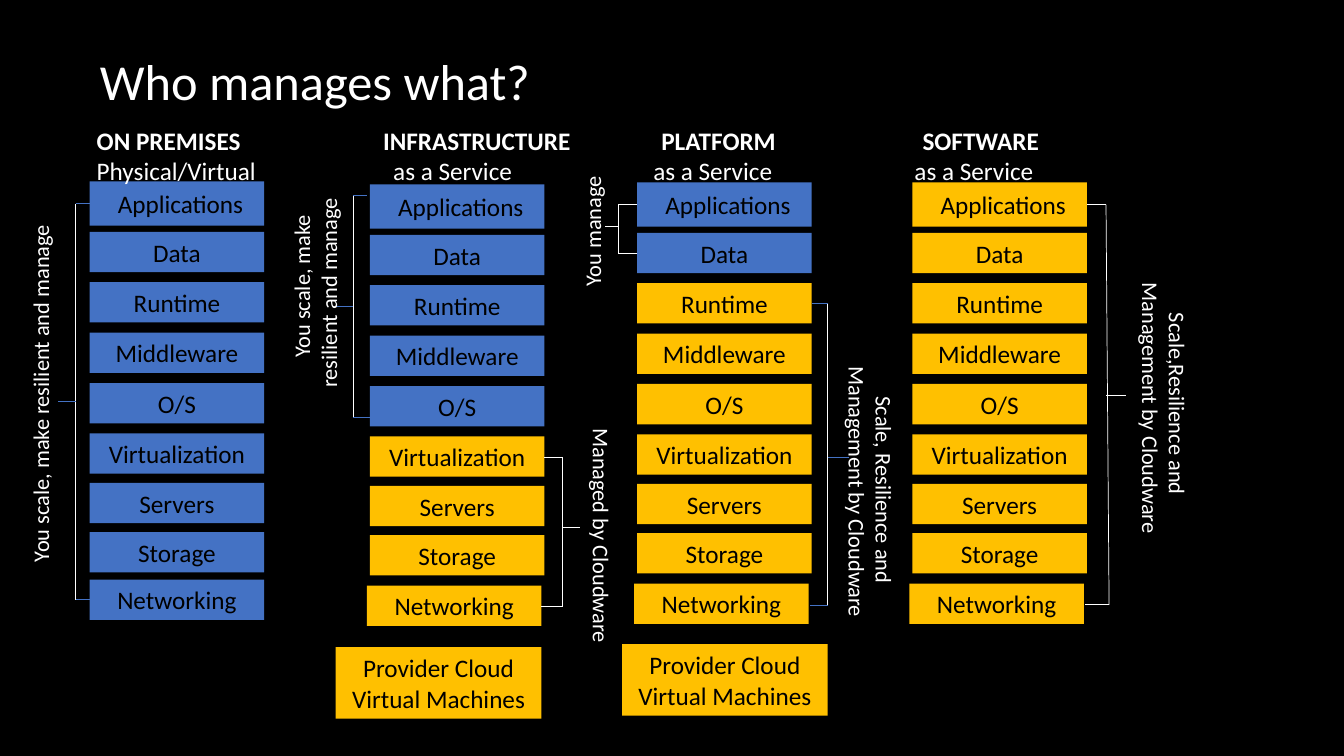
from pptx import Presentation
from pptx.dml.color import RGBColor
from pptx.enum.shapes import MSO_CONNECTOR, MSO_SHAPE
from pptx.enum.text import MSO_ANCHOR, MSO_AUTO_SIZE, PP_ALIGN
from pptx.oxml.ns import qn
from pptx.util import Inches, Pt

STRAIGHT = MSO_CONNECTOR.STRAIGHT
RECTANGLE = MSO_SHAPE.RECTANGLE
MIDDLE = MSO_ANCHOR.MIDDLE
CENTER, LEFT = PP_ALIGN.CENTER, PP_ALIGN.LEFT

FONT = "Calibri"
COLORS = {"black": "000000", "white": "FFFFFF", "customer": "4472C4", "provider": "FFC000"}

LAYERS = ["Applications", "Data", "Runtime", "Middleware", "O/S",
          "Virtualization", "Servers", "Storage", "Networking"]
ROW_OFFSETS = [0, 0.5, 1, 1.5, 2, 2.5, 2.99, 3.48, 3.98]
BOX_WIDTH, BOX_HEIGHT, TOP_BOX_HEIGHT = 1.73, 0.4, 0.44

# left, top, layers run by the customer, shift of the last box (across, down)
STACKS = [
    (0.89, 1.8, 9, (0, -0.03)),
    (3.67, 1.83, 5, (-0.03, 0)),
    (6.32, 1.81, 2, (-0.03, 0)),
    (9.05, 1.81, 0, (-0.03, 0)),
]

# left, heading, heading margin, second line, second line margin
HEADINGS = [
    (0.96, "ON PREMISES", 0, "Physical/Virtual", 0),
    (3.8, "INFRASTRUCTURE", 0, "as a Service", 0.1),
    (6.48, "PLATFORM", 0.08, "as a Service", 0),
    (9.07, "SOFTWARE", 0.08, "as a Service", 0),
]

# spine x (top, bottom), spine y (top, bottom), box edge x (top, bottom),
# tip (x, y), arm color, tip color
BRACKETS = [
    ((0.75, 0.75), (2.02, 5.95), (0.89, 0.89), (0.58, 3.98), "customer", "customer"),
    ((3.5, 3.5), (1.94, 4.14), (3.64, 3.67), (3.33, 3.04), "customer", "customer"),
    ((5.58, 5.58), (4.54, 6.02), (5.4, 5.37), (5.75, 5.23), "white", "white"),
    ((6.13, 6.13), (2.03, 2.51), (6.32, 6.32), (6, 2.25), "white", "white"),
    ((8.21, 8.21), (3.01, 6.01), (8.05, 8.03), (8.42, 4.54), "customer", "customer"),
    ((10.97, 11), (2.03, 6), (10.78, 10.76), (11.17, 3.92), "white", "white"),
]

# left, top, width, height, rotation, first-line indent, paragraphs
SIDE_LABELS = [
    (-1.39, 3.7, 3.58, 0.37, 270, 0, ["You scale, make resilient and manage"]),
    (2.05, 2.55, 2.15, 0.64, 270, 0.3, ["You scale, make", "resilient and manage"]),
    (4.62, 5.06, 2.69, 0.37, 90, 0.25, ["Managed by Cloudware"]),
    (5.06, 2.24, 1.63, 0.37, 270, 0.3, ["You manage"]),
    (7.29, 4.56, 2.69, 0.64, 90, 0.3, ["Scale, Resilience and Management by Cloudware"]),
    (10.2, 3.73, 2.69, 0.64, 90, 0.3, ["Scale,Resilience and Management by Cloudware"]),
]


def color(name):
    return RGBColor.from_string(COLORS[name])


def style(paragraph, size, color_name, alignment=LEFT, bold=False):
    paragraph.alignment = alignment
    font = paragraph.font
    font.name, font.size, font.bold = FONT, Pt(size), bold
    font.color.rgb = color(color_name)


def add_title(slide, text):
    title = slide.shapes.title
    title.left, title.top, title.width, title.height = map(Inches, (0.89, 0.44, 4.51, 0.71))
    frame = title.text_frame
    frame.text = text
    frame.word_wrap = False
    frame.auto_size = MSO_AUTO_SIZE.NONE
    frame.vertical_anchor = MIDDLE
    style(frame.paragraphs[0], 36, "white")


def add_box(slide, left, top, width, height, text, fill):
    box = slide.shapes.add_shape(RECTANGLE, *map(Inches, (left, top, width, height)))
    box.shadow.inherit = False
    box.fill.solid()
    box.fill.fore_color.rgb = color(fill)
    box.line.fill.background()
    frame = box.text_frame
    frame.text = text
    frame.word_wrap = True
    frame.vertical_anchor = MIDDLE
    style(frame.paragraphs[0], 18, "black", CENTER)
    return box


def add_stack(slide, left, top, customer_layers, last_shift):
    for row, (layer, offset) in enumerate(zip(LAYERS, ROW_OFFSETS)):
        across, down = last_shift if layer == LAYERS[-1] else (0, 0)
        height = BOX_HEIGHT if row else TOP_BOX_HEIGHT
        fill = "customer" if row < customer_layers else "provider"
        box = add_box(slide, left + across, top + offset + down, BOX_WIDTH, height, layer, fill)
        if row == 0:
            box.text_frame.margin_left = Inches(0.17)


def add_text(slide, left, top, width, height, lines):
    """Add a text box with one paragraph per line and return it."""
    text_box = slide.shapes.add_textbox(*map(Inches, (left, top, width, height)))
    text_box.text_frame.text = "\n".join(lines)
    return text_box


def add_heading(slide, left, heading, heading_margin, second_line, second_margin):
    text_box = add_text(slide, left, 1.19, 2, 0.71, [heading, second_line])
    frame = text_box.text_frame
    frame.word_wrap = True
    frame.margin_left = frame.margin_right = 0
    for paragraph, margin, bold in zip(frame.paragraphs, (heading_margin, second_margin), (True, False)):
        paragraph._p.get_or_add_pPr().set("marL", str(Inches(margin)))
        style(paragraph, 18, "white", bold=bold)


def add_side_label(slide, left, top, width, height, rotation, indent, lines):
    text_box = add_text(slide, left, top, width, height, lines)
    text_box.rotation = rotation
    frame = text_box.text_frame
    frame.word_wrap = True
    for paragraph in frame.paragraphs:
        style(paragraph, 16, "white")
    first = frame.paragraphs[0]._p.get_or_add_pPr()
    first.set("marL", "0")
    first.set("indent", str(Inches(indent)))


def add_line(slide, start, end, color_name):
    line = slide.shapes.add_connector(STRAIGHT, *map(Inches, (*start, *end)))
    line.line.color.rgb = color(color_name)
    line.line.width = Pt(0.5)
    properties = line._element.spPr
    properties.append(properties.makeelement(qn("a:effectLst"), {}))


def add_bracket(slide, spine_x, spine_y, edge_x, tip, arm_color, tip_color):
    corners = list(zip(spine_x, spine_y))
    add_line(slide, *corners, "white")
    for corner, edge in zip(corners, edge_x):
        add_line(slide, corner, (edge, corner[1]), arm_color)
    add_line(slide, (spine_x[0], tip[1]), tip, tip_color)


def main():
    presentation = Presentation()
    presentation.slide_width, presentation.slide_height = Inches(13.33), Inches(7.5)
    slide = presentation.slides.add_slide(presentation.slide_layouts[5])
    slide.background.fill.solid()
    slide.background.fill.fore_color.rgb = color("black")

    add_title(slide, "Who manages what?")
    for stack in STACKS:
        add_stack(slide, *stack)
    for heading in HEADINGS:
        add_heading(slide, *heading)
    for left, top in ((3.33, 6.42), (6.17, 6.39)):
        add_box(slide, left, top, 2.04, 0.71, "Provider Cloud Virtual Machines", "provider")
    for bracket in BRACKETS:
        add_bracket(slide, *bracket)
    for label in SIDE_LABELS:
        add_side_label(slide, *label)

    presentation.save("out.pptx")


if __name__ == "__main__":
    main()
